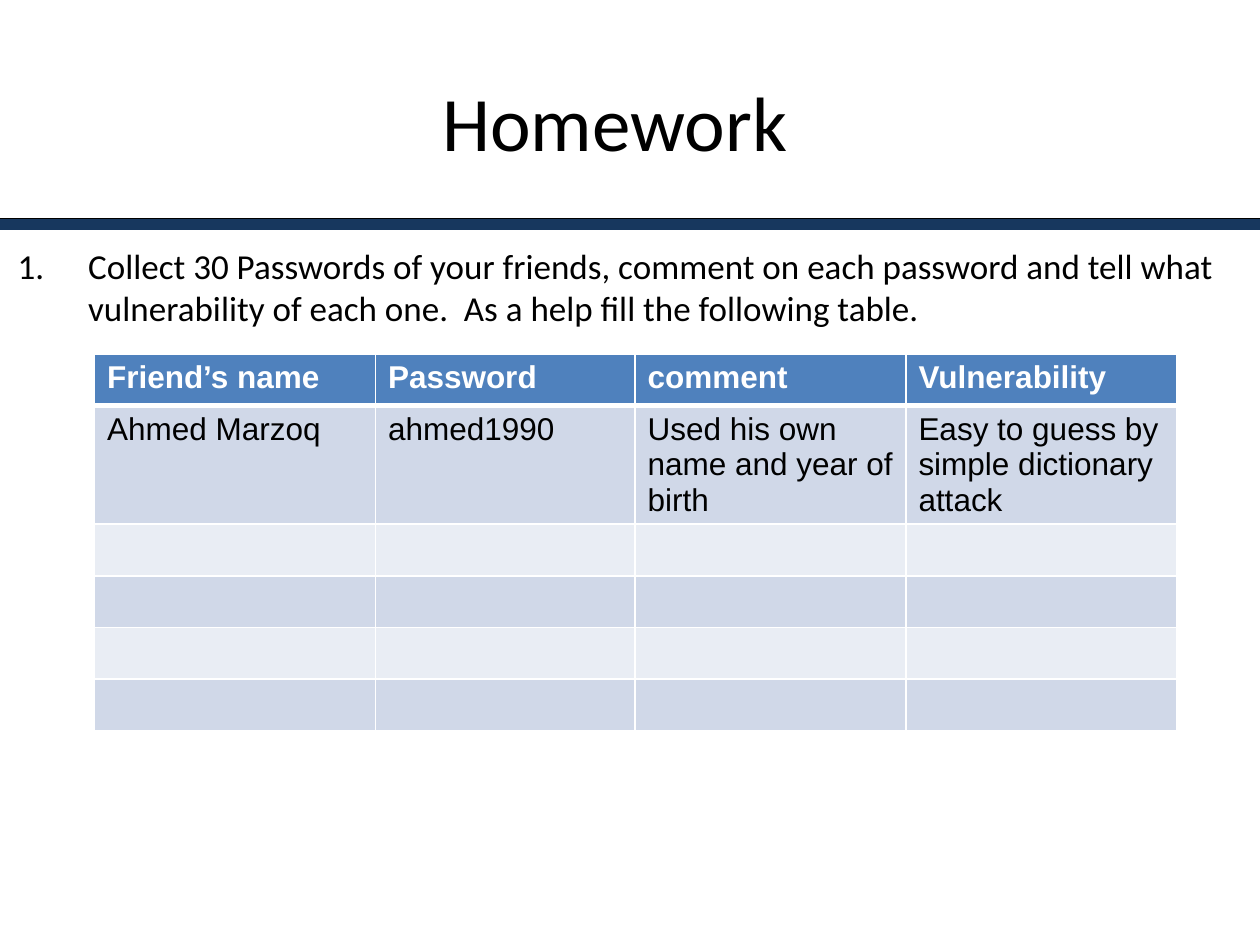
from dataclasses import dataclass

from lxml import etree
from pptx import Presentation
from pptx.dml.color import RGBColor
from pptx.enum import shapes, text
from pptx.oxml import ns
from pptx.util import Inches, Pt


@dataclass(frozen=True)
class Theme:
    heading_font: str = "Calibri"
    table_font: str = "Arial"
    ink: str = "000000"
    paper: str = "FFFFFF"
    rule: str = "17375E"
    header: str = "4F81BD"
    bands: tuple = ("D0D8E8", "E9EDF4")
    title_size: int = 44
    body_size: int = 20
    table_size: int = 18


def write(frame, content, font, size, color, bold=False, align=None):
    frame.word_wrap = True
    paragraph = frame.paragraphs[0]
    paragraph.alignment = align
    run = paragraph.add_run()
    run.text = content
    run.font.name = font
    run.font.size = Pt(size)
    run.font.bold = bold
    run.font.color.rgb = RGBColor.from_string(color)
    return paragraph


def add_element(parent, tag, **attributes):
    return etree.SubElement(parent, ns.qn(tag), attributes)


class SlideBuilder:
    def __init__(self, slide, theme):
        self.slide = slide
        self.theme = theme

    def place(self, shape, left, top, width, height):
        shape.left, shape.top = Inches(left), Inches(top)
        shape.width, shape.height = Inches(width), Inches(height)
        shape.text_frame.auto_size = text.MSO_AUTO_SIZE.NONE
        return shape.text_frame

    def title(self, content, *box):
        frame = self.place(self.slide.shapes.title, *box)
        frame.vertical_anchor = text.MSO_ANCHOR.MIDDLE
        write(frame, content, self.theme.heading_font, self.theme.title_size,
              self.theme.ink, align=text.PP_ALIGN.CENTER)

    def numbered_item(self, content, *box, indent):
        frame = self.place(self.slide.placeholders[1], *box)
        paragraph = write(frame, content, self.theme.heading_font,
                          self.theme.body_size, self.theme.ink)
        paragraph.space_before = Pt(self.theme.body_size * 0.2)
        properties = paragraph._p.get_or_add_pPr()
        properties.set("marL", str(Inches(indent)))
        properties.set("indent", str(-Inches(indent)))
        add_element(properties, "a:buFont", typeface="+mj-lt")
        add_element(properties, "a:buAutoNum", type="arabicPeriod")

    def rule(self, top, width, color):
        line = self.slide.shapes.add_connector(
            shapes.MSO_CONNECTOR.STRAIGHT, 0, Inches(top), Inches(10), Inches(top))
        line.line.width = Pt(width)
        line.line.color.rgb = RGBColor.from_string(color)
        add_element(line._element.spPr, "a:effectLst")

    def border(self, cell, bottom):
        properties = cell._tc.get_or_add_tcPr()
        sides = {"a:lnL": 1, "a:lnR": 1, "a:lnT": 1, "a:lnB": bottom}
        for position, (tag, width) in enumerate(sides.items()):
            line = etree.Element(ns.qn(tag), {"w": str(Pt(width))})
            fill = add_element(line, "a:solidFill")
            add_element(fill, "a:srgbClr", val=self.theme.paper)
            properties.insert(position, line)

    def table(self, rows, left, top, column_widths, row_height):
        table = self.slide.shapes.add_table(
            len(rows), len(column_widths), Inches(left), Inches(top),
            Inches(sum(column_widths)), Inches(row_height * len(rows))).table
        for column, width in zip(table.columns, column_widths):
            column.width = Inches(width)
        for row_index, values in enumerate(rows):
            is_header = row_index == 0
            fill = self.theme.header if is_header else self.theme.bands[(row_index - 1) % 2]
            color = self.theme.paper if is_header else self.theme.ink
            for column_index, value in enumerate(values):
                cell = table.cell(row_index, column_index)
                cell.fill.solid()
                cell.fill.fore_color.rgb = RGBColor.from_string(fill)
                self.border(cell, bottom=3 if is_header else 1)
                if value:
                    write(cell.text_frame, value, self.theme.table_font,
                          self.theme.table_size, color, bold=is_header)


def main():
    presentation = Presentation()
    presentation.slide_width, presentation.slide_height = Inches(10), Inches(7.5)
    slide = presentation.slides.add_slide(presentation.slide_layouts[1])
    theme = Theme()
    builder = SlideBuilder(slide, theme)

    builder.rule(1.78, 7, theme.rule)
    builder.rule(1.73, 0.5, theme.ink)
    builder.title("Homework", 0, 0.21, 9.76, 1.5)
    builder.numbered_item(
        "Collect 30 Passwords of your friends, comment on each password and tell "
        "what vulnerability of each one.  As a help fill the following table.",
        0.04, 1.89, 9.69, 4.85, indent=0.56)

    header = ["Friend’s name", "Password", "comment", "Vulnerability"]
    example = ["Ahmed Marzoq", "ahmed1990", "Used his own name and year of birth",
               "Easy to guess by simple dictionary attack"]
    blank_rows = [[""] * len(header)] * 4
    builder.table([header, example, *blank_rows], 0.75, 2.81,
                  [2.23, 2.06, 2.15, 2.15], 0.41)

    presentation.save("out.pptx")


if __name__ == "__main__":
    main()
